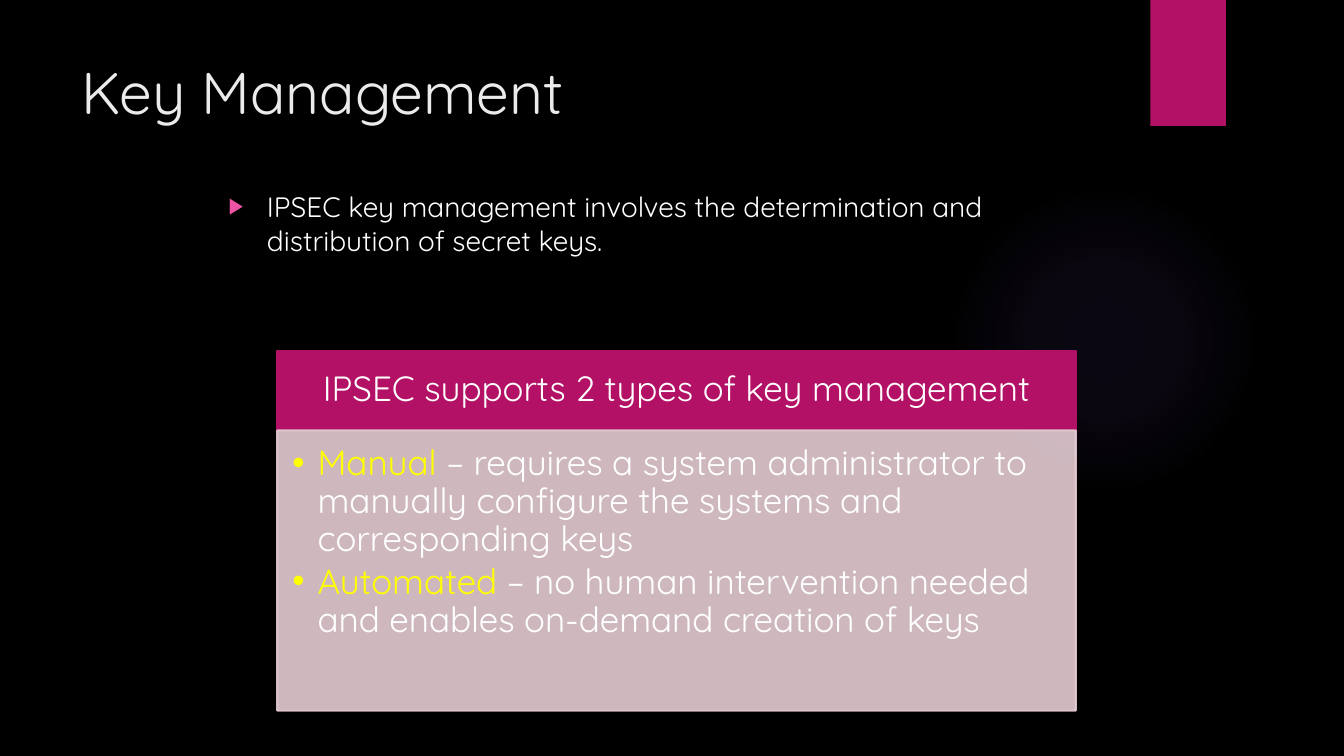
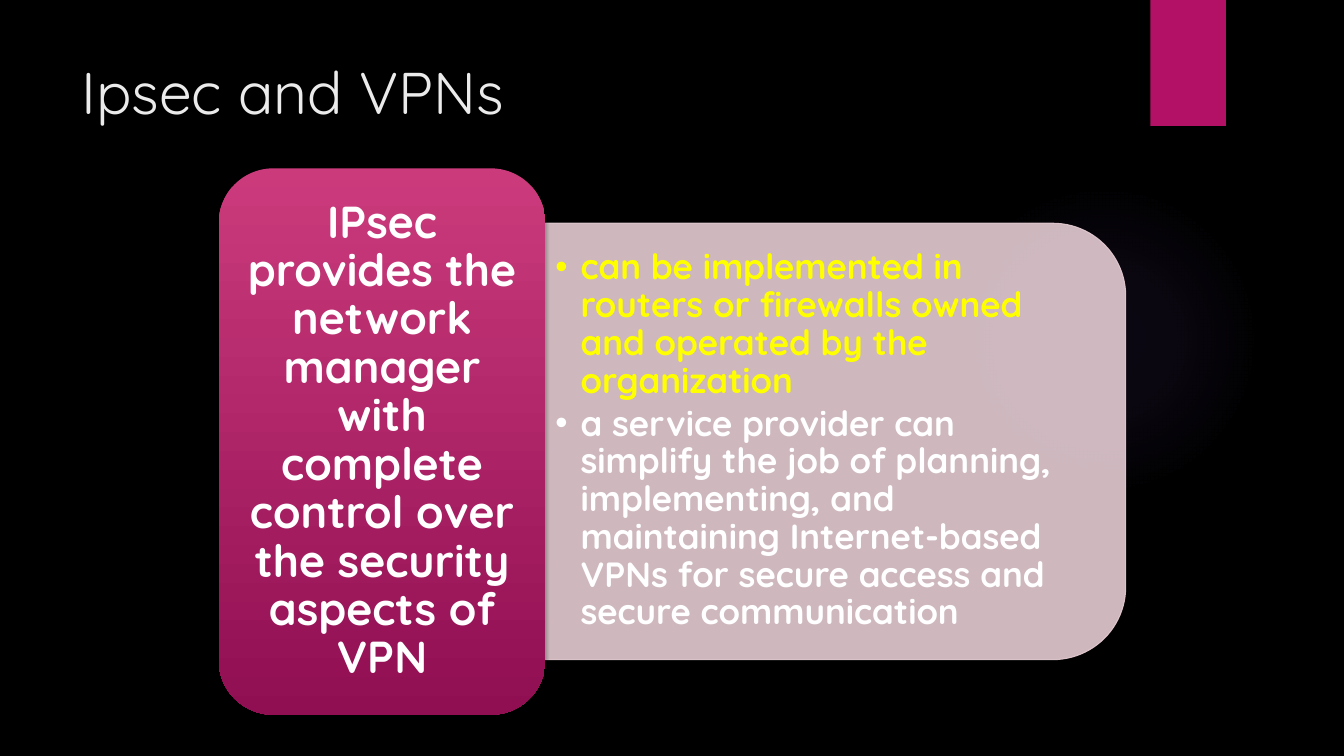
from dataclasses import dataclass

from lxml.etree import SubElement
from pptx import Presentation
from pptx.dml.color import RGBColor
from pptx.enum.shapes import MSO_SHAPE as SHAPE
from pptx.enum.text import MSO_ANCHOR as ANCHOR, PP_ALIGN as ALIGN
from pptx.oxml import parse_xml
from pptx.oxml.ns import nsdecls, qn
from pptx.util import Inches, Pt


@dataclass(frozen=True)
class Theme:
    font: str = "Quicksand"
    background: str = "000000"
    title: str = "EBEBEB"
    text: str = "FFFFFF"
    highlight: str = "FFFF00"
    accent: str = "B31166"
    accent_light: str = "CB3B7C"
    accent_dark: str = "900E52"
    marker: str = "EF53A5"
    panel: str = "E5CCD3"
    glow: str = "9B6BF2"
    title_size: int = 42
    statement_size: int = 32
    panel_size: int = 25
    body_size: int = 20


THEME = Theme()


def add_box(slide, kind, box, color, line_width=0, opacity=100, shadow=False):
    """Add a preset shape; line and fill share one colour and opacity."""
    shape = slide.shapes.add_shape(kind, *map(Inches, box))
    shape.shadow.inherit = False
    shape.fill.solid()
    shape.fill.fore_color.rgb = RGBColor.from_string(color)
    if line_width:
        shape.line.width = Pt(line_width)
        shape.line.color.rgb = RGBColor.from_string(color)
    else:
        shape.line.fill.background()
    properties = shape._element.spPr
    if opacity < 100:
        for tint in properties.iter(qn("a:srgbClr")):
            SubElement(tint, qn("a:alpha"), val=str(opacity * 1000))
    if shadow:
        properties.find(qn("a:effectLst")).append(parse_xml(
            f'<a:outerShdw {nsdecls("a")} blurRad="{Pt(3)}" dist="{Pt(2)}" dir="5400000" rotWithShape="0">'
            f'<a:srgbClr val="{THEME.background}"><a:alpha val="45000"/></a:srgbClr></a:outerShdw>'))
    return shape


def write_text(shape, paragraphs, size, insets=(0.1, 0.05, 0.1, 0.05), anchor=ANCHOR.TOP,
               align=ALIGN.LEFT, bold=False, spacing=1.0, after=0.0,
               bullet="", indent=0.25, bullet_color="", bullet_scale=100):
    """Fill a shape with paragraphs, each a list of (text, colour) runs."""
    frame = shape.text_frame
    frame.word_wrap = True
    frame.vertical_anchor = anchor
    frame.margin_left, frame.margin_top, frame.margin_right, frame.margin_bottom = map(Inches, insets)
    for index, runs in enumerate(paragraphs):
        paragraph = frame.add_paragraph() if index else frame.paragraphs[0]
        paragraph.alignment = align
        paragraph.line_spacing = spacing
        paragraph.space_after = Pt(after)
        if bullet:
            properties = paragraph._p.get_or_add_pPr()
            properties.set("marL", str(Inches(indent)))
            properties.set("indent", str(-Inches(indent)))
            if bullet_color:
                SubElement(SubElement(properties, qn("a:buClr")), qn("a:srgbClr"), val=bullet_color)
            SubElement(properties, qn("a:buSzPct"), val=str(bullet_scale * 1000))
            SubElement(properties, qn("a:buFont"), typeface="Arial")
            SubElement(properties, qn("a:buChar"), char=bullet)
        for text, color in runs:
            run = paragraph.add_run()
            run.text = text
            run.font.name = THEME.font
            run.font.size = Pt(size)
            run.font.bold = bold
            run.font.color.rgb = RGBColor.from_string(color)


deck = Presentation()
deck.slide_width, deck.slide_height = Inches(13.33), Inches(7.5)

# Shared background, glow, corner tab and title
slides = []
for heading in ("Key Management", "Ipsec and VPNs"):
    slide = deck.slides.add_slide(deck.slide_layouts[6])
    slide.background.fill.solid()
    slide.background.fill.fore_color.rgb = RGBColor.from_string(THEME.background)

    glow = add_box(slide, SHAPE.OVAL, (9.41, 1.83, 3.08, 3.08), THEME.glow)
    stops = "".join(
        f'<a:gs pos="{position * 1000}"><a:srgbClr val="{THEME.glow}">'
        f'<a:alpha val="{alpha * 1000}"/></a:srgbClr></a:gs>'
        for position, alpha in ((0, 7), (36, 6), (69, 0), (100, 0)))
    glow_properties = glow._element.spPr
    glow_properties.replace(glow_properties.find(qn("a:solidFill")), parse_xml(
        f'<a:gradFill {nsdecls("a")}><a:gsLst>{stops}</a:gsLst><a:path path="circle">'
        '<a:fillToRect l="50000" t="50000" r="50000" b="50000"/></a:path></a:gradFill>'))

    add_box(slide, SHAPE.RECTANGLE, (11.41, 0, 0.75, 1.25), THEME.accent, shadow=True)
    title = slide.shapes.add_textbox(*map(Inches, (0.71, 0.5, 10.29, 1.53)))
    write_text(title, [[(heading, THEME.title)]], THEME.title_size)
    slides.append(slide)

key_management, vpns = slides
panel_list = dict(size=THEME.panel_size, spacing=0.9, after=3.75, bullet="•")
centred = dict(anchor=ANCHOR.MIDDLE, align=ALIGN.CENTER, spacing=0.9)

# Key management: introduction above a headed panel
introduction = key_management.shapes.add_textbox(*map(Inches, (2.17, 1.83, 9, 5.67)))
write_text(
    introduction,
    [[("IPSEC key management involves the determination and distribution of secret keys.", THEME.text)]],
    THEME.body_size, bullet="▶", indent=0.38, bullet_color=THEME.marker, bullet_scale=80)

panel_left, panel_top, panel_width, header_height = 2.75, 3.48, 7.92, 0.79
types_header = add_box(key_management, SHAPE.RECTANGLE,
                       (panel_left, panel_top, panel_width, header_height), THEME.accent, line_width=1.5)
write_text(types_header, [[("IPSEC supports 2 types of key management", THEME.text)]],
           THEME.panel_size, insets=(0.19, 0.11, 0.19, 0.11), **centred)

types_panel = add_box(key_management, SHAPE.RECTANGLE,
                      (panel_left, panel_top + header_height, panel_width, 2.78),
                      THEME.panel, line_width=1.5, opacity=90)
key_types = (
    ("Manual", " – requires a system administrator to manually configure the systems and corresponding keys"),
    ("Automated", " – no human intervention needed and enables on-demand creation of keys"),
)
write_text(types_panel,
           [[(term, THEME.highlight), (meaning, THEME.text)] for term, meaning in key_types],
           insets=(0.15, 0.15, 0.19, 0.22), **panel_list)

# VPNs: options panel beside the main statement
options_panel = add_box(vpns, SHAPE.ROUND_2_SAME_RECTANGLE, (6.12, 1.5, 4.33, 5.76),
                        THEME.panel, line_width=0.75, opacity=90)
options_panel.rotation = 90
options = vpns.shapes.add_textbox(*map(Inches, (5.41, 2.42, 5.55, 3.91)))
write_text(
    options,
    [[("can be implemented in routers or firewalls owned and operated by the organization",
       THEME.highlight)],
     [("a service provider can simplify the job of planning, implementing, and maintaining "
       "Internet-based VPNs for secure access and secure communication", THEME.text)]],
    anchor=ANCHOR.MIDDLE, bold=True, **panel_list)

statement = add_box(vpns, SHAPE.ROUNDED_RECTANGLE, (2.17, 1.67, 3.24, 5.42), THEME.accent, shadow=True)
statement.fill.gradient()
statement.fill.gradient_angle = 270
for stop, color in zip(statement.fill.gradient_stops, (THEME.accent_light, THEME.accent_dark)):
    stop.color.rgb = RGBColor.from_string(color)
write_text(
    statement,
    [[("IPsec provides the network manager with complete control over the security aspects of VPN",
       THEME.text)]],
    THEME.statement_size, insets=(0.13, 0.07, 0.13, 0.07), bold=True, **centred)

deck.save("out.pptx")
